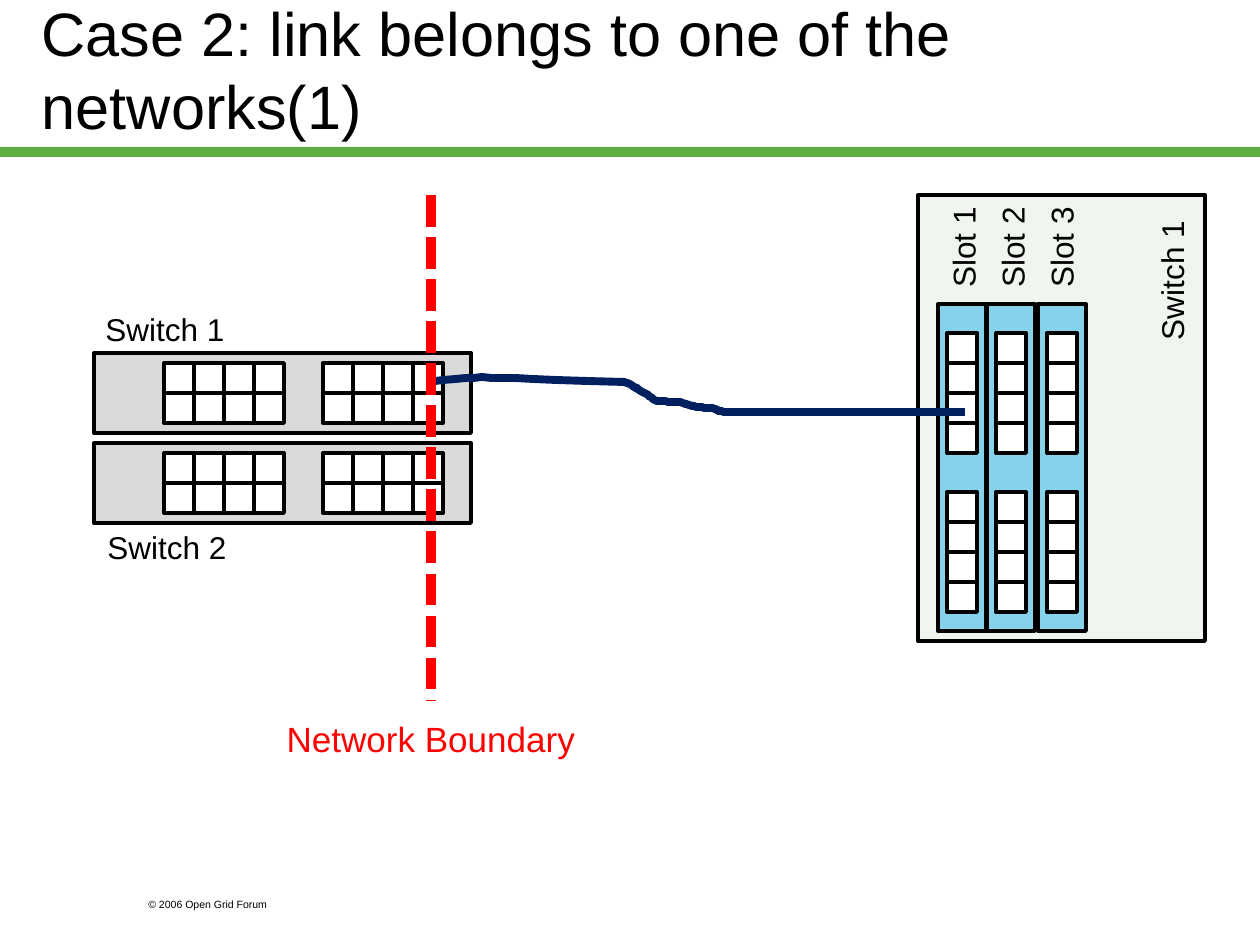
import pptx
import pptx.util
import pptx.dml.color
import pptx.enum.dml
import pptx.enum.shapes
import pptx.enum.text
import pptx.oxml

EMU = 914400 / 126  # one px
color = pptx.dml.color.RGBColor.from_string

deck = pptx.Presentation()
deck.slide_width = round(1260 * EMU)
deck.slide_height = round(945 * EMU)
page = deck.slides.add_slide(deck.slide_layouts[5])


def add_rect(left, top, width, height, fill, outline="000000"):
    rect = page.shapes.add_shape(
        pptx.enum.shapes.MSO_SHAPE.RECTANGLE,
        *[round(value * EMU) for value in (left, top, width, height)])
    rect.shadow.inherit = False
    rect.fill.solid()
    rect.fill.fore_color.rgb = color(fill)
    if outline:
        rect.line.color.rgb = color(outline)
        rect.line.width = pptx.util.Pt(2.25)
    else:
        rect.line.fill.background()


def write_text(text, left, top, width, height, size=18, fill="000000",
               align="LEFT", anchor="TOP", rotation=0, wrap=False, box=None):
    if box is None:
        box = page.shapes.add_textbox(0, 0, 0, 0)
    box.left, box.top, box.width, box.height = [
        round(value * EMU) for value in (left, top, width, height)]
    box.rotation = rotation
    frame = box.text_frame
    frame.auto_size = pptx.enum.text.MSO_AUTO_SIZE.NONE
    frame.word_wrap = wrap
    frame.vertical_anchor = pptx.enum.text.MSO_ANCHOR[anchor]
    para = frame.paragraphs[0]
    para.alignment = pptx.enum.text.PP_ALIGN[align]
    span = para.add_run()
    span.text = text
    span.font.name = "Arial"
    span.font.size = pptx.util.Pt(size)
    span.font.color.rgb = color(fill)


# Title, green rule and footer
add_rect(0, 147, 1260, 10, "5DAD41", outline=None)
write_text("Case 2: link belongs to one of the networks(1)", 29, 0, 1071, 137,
           size=35, anchor="MIDDLE", wrap=True, box=page.shapes.title)
write_text("© 2006 Open Grid Forum", 136, 892, 189, 25, size=6, wrap=True)

# Two stacked switches, each with two blocks of 4 x 2 ports
PORT = 30
BLOCK_STEP = 159
for switch_top in (353, 443):
    add_rect(94, switch_top, 377, 80, "D9D9D9")
    for block in range(2):
        for column in range(4):
            for row in range(2):
                add_rect(164 + block * BLOCK_STEP + column * PORT,
                         switch_top + 10 + row * PORT, PORT, PORT, "FFFFFF")
write_text("Switch 1", 93, 304, 144, 50)
write_text("Switch 2", 95, 522, 144, 50)

# Chassis with three slots, each with two columns of four ports
add_rect(918, 195, 287, 446, "F0F6EF")
for number, slot_left in enumerate((938, 987, 1038), start=1):
    add_rect(slot_left, 304, 48, 327, "87D2EB")
    for block in range(2):
        for row in range(4):
            add_rect(slot_left + 9, 333 + block * BLOCK_STEP + row * PORT,
                     PORT, PORT, "FFFFFF")
    write_text(f"Slot {number}", 861 + number * 49, 222, 106, 50, rotation=270)
write_text("Switch 1", 1097, 253, 149, 50, rotation=270, wrap=True)

# Link: cubic curves, each given by two control points and an end point
start = (427, 382)
curves = [
    ((503, 374), (456, 378), (622, 382)),
    ((625, 382), (627, 383), (630, 384)),
    ((651, 398), (619, 377), (644, 393)),
    ((649, 394), (651, 399), (656, 401)),
    ((656, 401), (679, 402), (679, 402)),
    ((687, 404), (685, 404), (696, 407)),
    ((701, 407), (706, 408), (712, 408)),
    ((714, 409), (717, 409), (719, 411)),
    ((722, 411), (724, 412), (726, 412)),
    ((726, 412), (965, 412), (965, 412)),
]
STEPS = 12
points = []
corner = start
for first, second, end in curves:
    for step in range(1, STEPS + 1):
        t = step / STEPS
        points.append(tuple(
            (1 - t) ** 3 * a + 3 * (1 - t) ** 2 * t * b
            + 3 * (1 - t) * t ** 2 * c + t ** 3 * d
            for a, b, c, d in zip(corner, first, second, end)))
    corner = end
builder = page.shapes.build_freeform(*start, scale=EMU)
builder.add_line_segments(points, close=False)
link = builder.convert_to_shape()
link.shadow.inherit = False
link.fill.background()
link.line.color.rgb = color("002060")
link.line.width = pptx.util.Pt(4.5)

# Network boundary
boundary = page.shapes.add_connector(
    pptx.enum.shapes.MSO_CONNECTOR.STRAIGHT,
    *[round(value * EMU) for value in (431, 195, 431, 701)])
boundary.line.color.rgb = color("FF0000")
boundary.line.width = pptx.util.Pt(6)
boundary.line.dash_style = pptx.enum.dml.MSO_LINE.SQUARE_DOT
boundary._element.spPr.append(pptx.oxml.parse_xml(
    '<a:effectLst xmlns:a="http://schemas.openxmlformats.org/drawingml/2006/main"/>'))
write_text("Network Boundary", 274, 711, 314, 55, size=20, fill="FF0000",
           align="CENTER")

deck.save("out.pptx")
